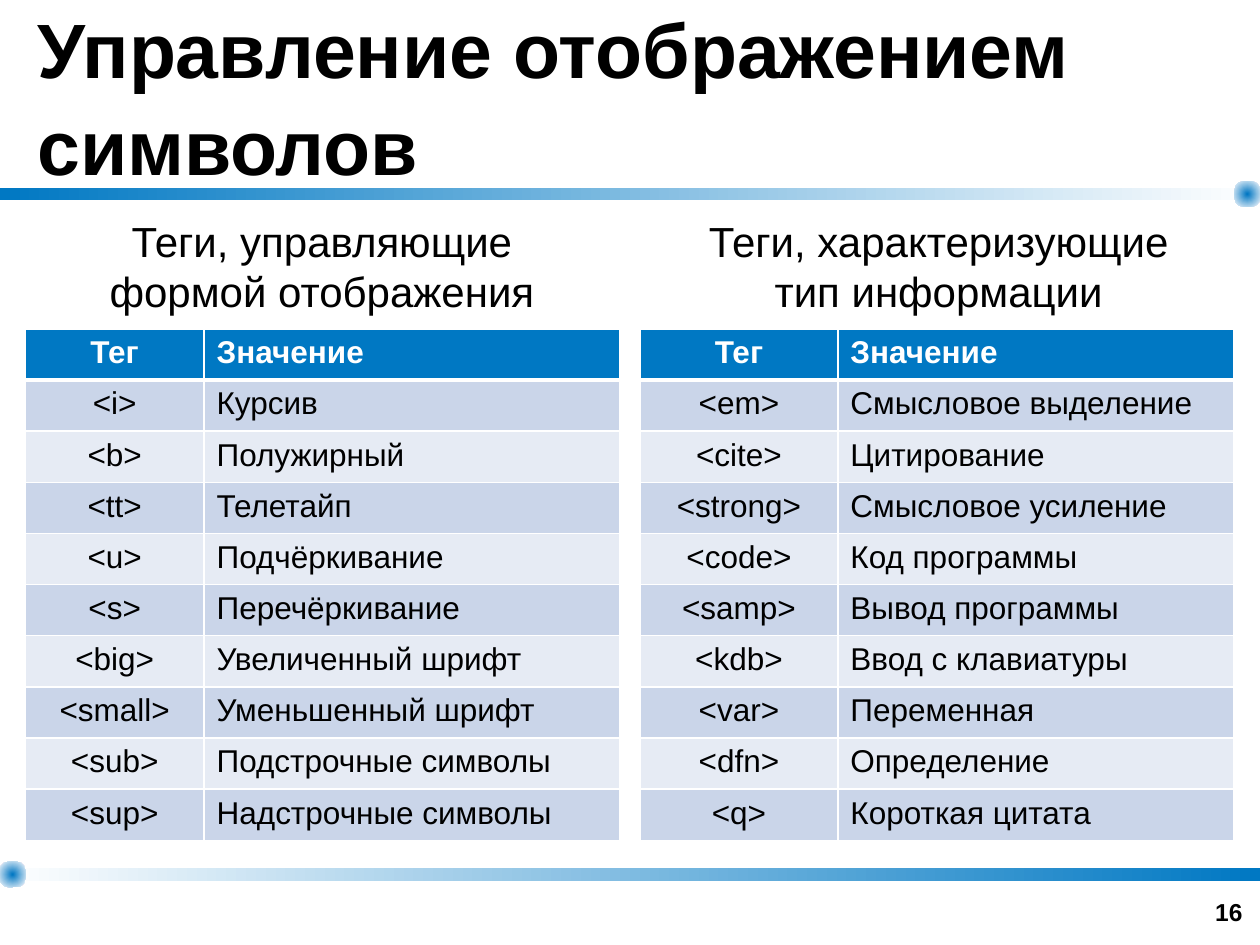
from lxml.etree import SubElement
from pptx import Presentation
from pptx.dml.color import RGBColor
from pptx.enum.shapes import MSO_SHAPE
from pptx.enum.text import MSO_ANCHOR, PP_ALIGN
from pptx.oxml import parse_xml
from pptx.oxml.ns import nsdecls, qn
from pptx.util import Inches, Pt

INK = {"blue": "0078C3", "white": "FFFFFF", "black": "000000",
       "dark": "CAD5E9", "light": "E6EBF4"}
FORM = [("Тег", "Значение"), ("<i>", "Курсив"), ("<b>", "Полужирный"),
        ("<tt>", "Телетайп"), ("<u>", "Подчёркивание"),
        ("<s>", "Перечёркивание"), ("<big>", "Увеличенный шрифт"),
        ("<small>", "Уменьшенный шрифт"), ("<sub>", "Подстрочные символы"),
        ("<sup>", "Надстрочные символы")]
MEANING = [("Тег", "Значение"), ("<em>", "Смысловое выделение"),
           ("<cite>", "Цитирование"), ("<strong>", "Смысловое усиление"),
           ("<code>", "Код программы"), ("<samp>", "Вывод программы"),
           ("<kdb>", "Ввод с клавиатуры"), ("<var>", "Переменная"),
           ("<dfn>", "Определение"), ("<q>", "Короткая цитата")]


def color(name):
    """Return the named colour."""
    return RGBColor.from_string(INK[name])


def write(frame, text, size=18, bold=False, ink="black",
          align=PP_ALIGN.LEFT, space=1.0):
    """Write text into a frame, one paragraph per line."""
    frame.word_wrap = True
    for num, line in enumerate(text.split("\n")):
        para = frame.add_paragraph() if num else frame.paragraphs[0]
        para.alignment, para.line_spacing = align, space
        run = para.add_run()
        run.text = line
        font = run.font
        font.name, font.size, font.bold = "Arial", Pt(size), bold
        font.color.rgb = color(ink)


def label(slide, box, text, anchor=MSO_ANCHOR.TOP, **style):
    """Add a text box with formatted text."""
    frame = slide.shapes.add_textbox(*map(Inches, box)).text_frame
    write(frame, text, **style)
    frame.vertical_anchor = anchor


def blend(slide, kind, box, start, end):
    """Add a borderless shape with a left to right gradient."""
    shape = slide.shapes.add_shape(kind, *map(Inches, box))
    shape.shadow.inherit = False
    shape.line.fill.background()
    shape.fill.gradient()
    shape.fill.gradient_angle = 0
    for stop, name, place in zip(shape.fill.gradient_stops, (start, end), (0, 1)):
        stop.color.rgb = color(name)
        stop.position = place
    return shape


def rule(slide, box, start, end, left):
    """Add a fading bar with a glowing knob at its pale end."""
    blend(slide, MSO_SHAPE.RECTANGLE, box, start, end)
    side = 2 * box[3]
    spot = (left, box[1] - box[3] / 2, side, side)
    knob = blend(slide, MSO_SHAPE.ROUNDED_RECTANGLE, spot, "blue", "white")
    knob.adjustments[0] = 0.32
    grad = knob.element.spPr.find(qn("a:gradFill"))
    grad.replace(grad.find(qn("a:lin")), parse_xml(
        f'<a:path {nsdecls("a")} path="circle">'
        '<a:fillToRect l="50000" t="50000" r="50000" b="50000"/></a:path>'))


def edge(cell, top, bottom):
    """Draw white cell borders with the given top and bottom widths."""
    props = cell._tc.get_or_add_tcPr()
    for side, width in zip("LRTB", (1, 1, top, bottom)):
        line = SubElement(props, qn(f"a:ln{side}"), w=str(Pt(width)))
        fill = SubElement(line, qn("a:solidFill"))
        SubElement(fill, qn("a:srgbClr"), val=INK["white"])


def grid(slide, box, rows, widths):
    """Add a banded two-column table of tags."""
    table = slide.shapes.add_table(len(rows), 2, *map(Inches, box)).table
    for col, width in zip(table.columns, widths):
        col.width = Inches(width)
    for num, row in enumerate(rows):
        head = num == 0
        table.rows[num].height = Inches(box[3] / len(rows))
        band = "blue" if head else "dark" if num % 2 else "light"
        for col, text in enumerate(row):
            cell = table.cell(num, col)
            edge(cell, 3 if num == 1 else 1, 3 if head else 1)
            cell.fill.solid()
            cell.fill.fore_color.rgb = color(band)
            write(cell.text_frame, text, bold=head,
                  ink="white" if head else "black",
                  align=PP_ALIGN.LEFT if col else PP_ALIGN.CENTER)


def panel(slide, box, head, spot, rows, widths):
    """Add a centred heading and its table."""
    grid(slide, box, rows, widths)
    label(slide, spot, head, size=24, align=PP_ALIGN.CENTER)


def main():
    """Build and save the slide."""
    deck = Presentation()
    deck.slide_width, deck.slide_height = Inches(10), Inches(7.5)
    slide = deck.slides.add_slide(deck.slide_layouts[6])
    rule(slide, (0, 1.49, 10, 0.1), "blue", "white", 9.8)
    rule(slide, (0, 6.89, 10, 0.1), "white", "blue", 0)
    label(slide, (0.2, 0, 9.6, 1.49), "Управление отображением символов",
          MSO_ANCHOR.MIDDLE, size=44, bold=True, space=1.05)
    panel(slide, (0.2, 2.61, 4.72, 4.06), "Теги, управляющие\nформой отображения",
          (0.75, 1.66, 3.61, 0.91), FORM, (1.42, 3.3))
    panel(slide, (5.08, 2.61, 4.71, 4.06), "Теги, характеризующие\nтип информации",
          (5.46, 1.66, 3.98, 0.91), MEANING, (1.57, 3.14))
    label(slide, (7.63, 6.9, 2.33, 0.5), "16", MSO_ANCHOR.BOTTOM,
          size=14, bold=True, align=PP_ALIGN.RIGHT)
    deck.save("out.pptx")


if __name__ == "__main__":
    main()
